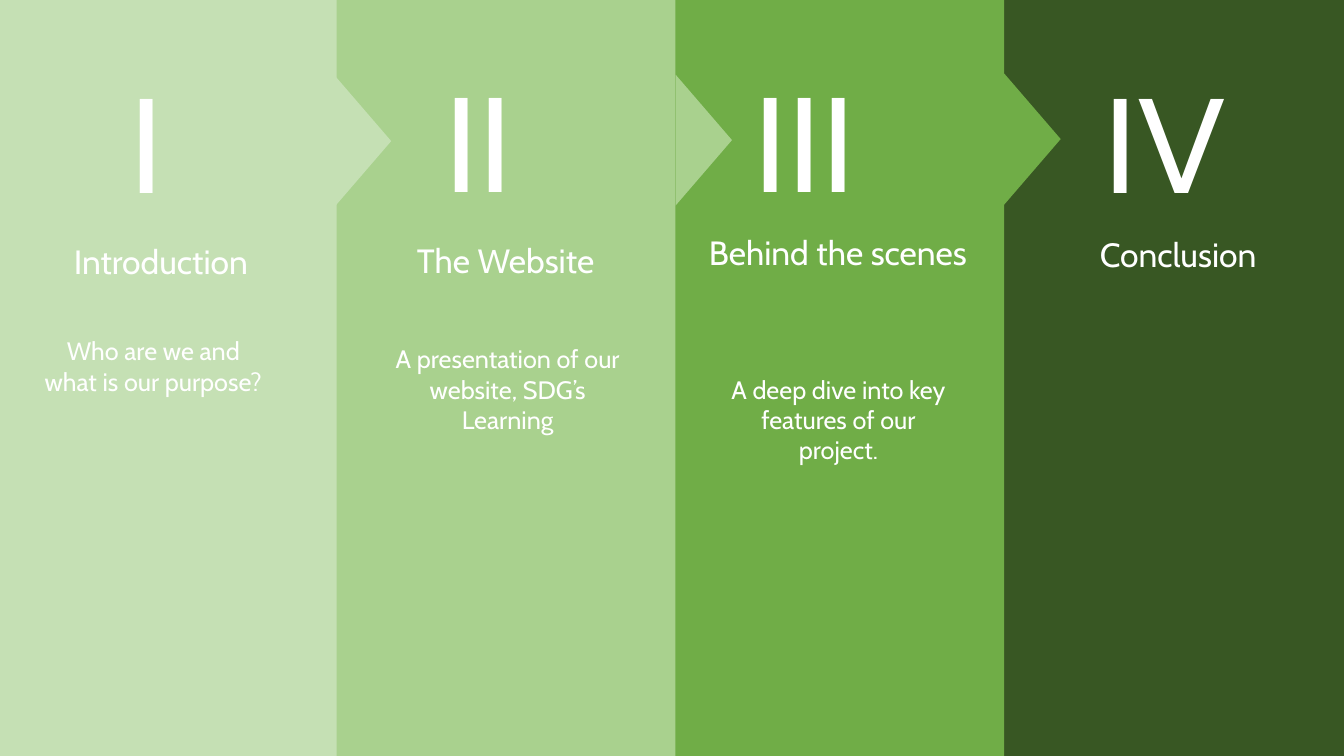
"""Build an agenda slide with four chevron panels."""
from typing import NamedTuple

from pptx import Presentation
from pptx.dml.color import RGBColor
from pptx.enum.shapes import MSO_SHAPE
from pptx.enum.text import MSO_AUTO_SIZE, PP_ALIGN
from pptx.util import Emu, Pt

PX = 9144
SLIDE_W, SLIDE_H = 1333, 750
ARROW_W, ARROW_H = 130, 56
FONT = "Cabin"
COLORS = {
    "pale": "C5E0B4",
    "light": "A9D18E",
    "medium": "70AD47",
    "dark": "385723",
    "text": "FFFFFF",
}


class Box(NamedTuple):
    x: int
    y: int
    w: int
    h: int

    def emu(self) -> list[Emu]:
        return [Emu(v * PX) for v in self]


class Label(NamedTuple):
    text: str
    box: Box


class Panel(NamedTuple):
    color: str
    x: int
    w: int
    numeral: Label
    title: Label
    detail: Label | None = None
    arrow: tuple[int, int] | None = None


PANELS = [
    Panel("pale", 0, 334,
          Label("I", Box(119, 54, 97, 172)),
          Label("Introduction", Box(9, 234, 301, 51)),
          Label("Who are we and what is our purpose?", Box(33, 328, 238, 101)),
          (295, 112)),
    Panel("light", 333, 337,
          Label("II", Box(431, 53, 214, 172)),
          Label("The Website", Box(358, 233, 287, 51)),
          Label("A presentation of our website, SDG’s Learning",
                Box(373, 336, 261, 101)),
          (633, 111)),
    Panel("medium", 666, 330,
          Label("III", Box(737, 53, 221, 172)),
          Label("Behind the scenes", Box(684, 225, 294, 91)),
          Label("A deep dive into key features of our project.",
                Box(714, 366, 235, 131)),
          (959, 110)),
    Panel("dark", 995, 338,
          Label("IV", Box(1085, 54, 203, 172)),
          Label("Conclusion", Box(1032, 227, 273, 51))),
]


def add_block(shapes, kind: MSO_SHAPE, box: Box, color: str,
              rotation: int = 0) -> None:
    sp = shapes.add_shape(kind, *box.emu())
    sp.rotation = rotation
    sp.shadow.inherit = False
    sp.fill.solid()
    sp.fill.fore_color.rgb = RGBColor.from_string(COLORS[color])
    sp.line.fill.background()


def add_text(shapes, label: Label, *, size: int,
             align: PP_ALIGN = PP_ALIGN.CENTER, color: str = "text") -> None:
    tf = shapes.add_textbox(*label.box.emu()).text_frame
    tf.word_wrap = True
    tf.auto_size = MSO_AUTO_SIZE.SHAPE_TO_FIT_TEXT
    p = tf.paragraphs[0]
    p.alignment = align
    r = p.add_run()
    r.text = label.text
    r.font.name = FONT
    r.font.size = Pt(size)
    r.font.color.rgb = RGBColor.from_string(COLORS[color])


def add_panel(shapes, panel: Panel) -> None:
    add_block(shapes, MSO_SHAPE.RECTANGLE,
              Box(panel.x, 0, panel.w, SLIDE_H), panel.color)
    if panel.arrow:
        add_block(shapes, MSO_SHAPE.ISOSCELES_TRIANGLE,
                  Box(*panel.arrow, ARROW_W, ARROW_H), panel.color, rotation=90)
    add_text(shapes, panel.title, size=24)
    add_text(shapes, panel.numeral, size=96, align=PP_ALIGN.LEFT)
    if panel.detail:
        add_text(shapes, panel.detail, size=18)


def main() -> None:
    prs = Presentation()
    prs.slide_width, prs.slide_height = Emu(SLIDE_W * PX), Emu(SLIDE_H * PX)
    s = prs.slides.add_slide(prs.slide_layouts[6])
    for panel in reversed(PANELS):
        add_panel(s.shapes, panel)
    prs.save("out.pptx")


if __name__ == "__main__":
    main()
